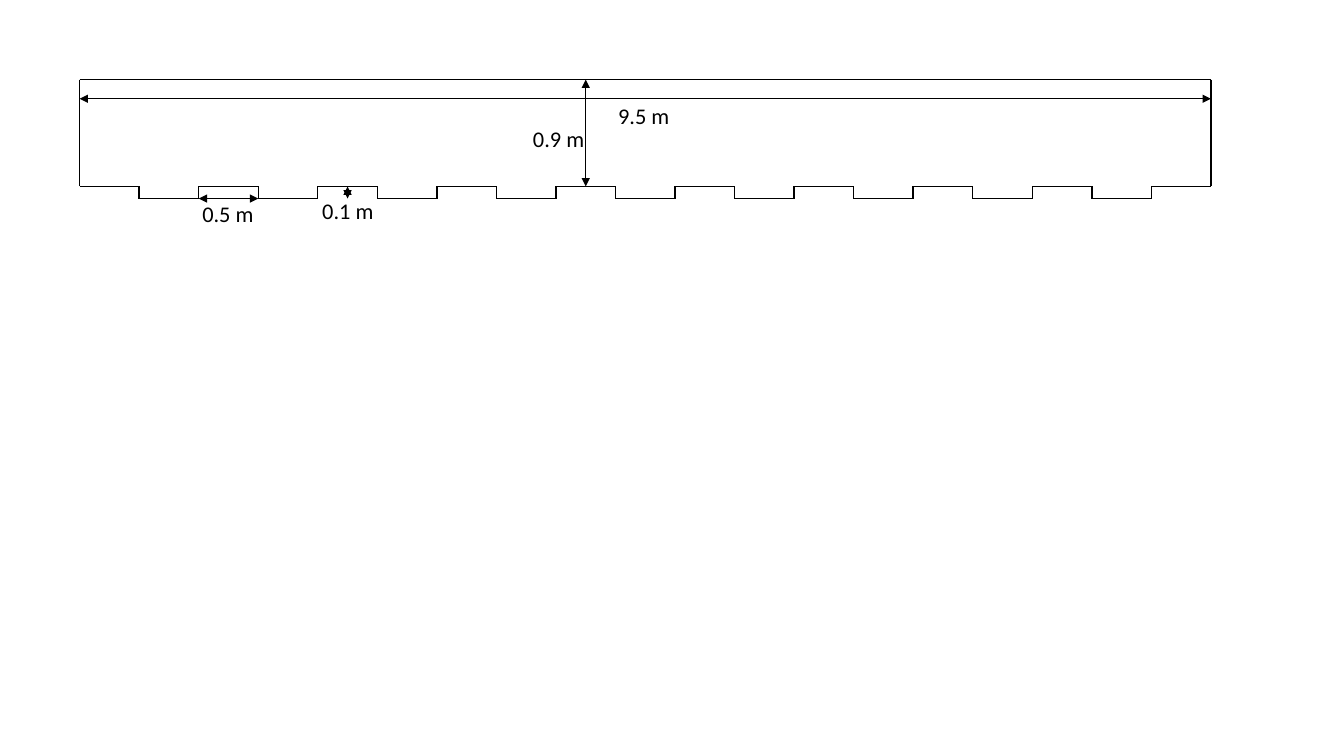
from lxml.etree import SubElement
from pptx import Presentation
from pptx.dml.color import RGBColor
from pptx.enum.shapes import MSO_CONNECTOR
from pptx.enum.text import MSO_AUTO_SIZE, PP_ALIGN
from pptx.oxml.ns import qn
from pptx.util import Inches, Pt

INK = "000000"
LEFT, RIGHT = 0.79, 12.01
TOP, BASE, FOOT = 0.79, 1.85, 1.97
COUNT = 19
STEP = (RIGHT - LEFT) / COUNT


def paint(color, value):
    color.rgb = RGBColor.from_string(value)


def add_line(slide, x1, y1, x2, y2, width=1):
    line = slide.shapes.add_connector(
        MSO_CONNECTOR.STRAIGHT, Inches(x1), Inches(y1), Inches(x2), Inches(y2))
    paint(line.line.color, INK)
    line.line.width = Pt(width)
    SubElement(line._element.spPr, qn("a:effectLst"))
    return line


def add_arrow(slide, x1, y1, x2, y2, width=1):
    stroke = add_line(slide, x1, y1, x2, y2, width).line._get_or_add_ln()
    for end in ("a:headEnd", "a:tailEnd"):
        SubElement(stroke, qn(end), type="triangle")


def add_label(slide, text, left, top, width):
    box = slide.shapes.add_textbox(
        Inches(left), Inches(top), Inches(width), Inches(0.37))
    frame = box.text_frame
    frame.word_wrap = True
    frame.auto_size = MSO_AUTO_SIZE.SHAPE_TO_FIT_TEXT
    para = frame.paragraphs[0]
    para.alignment = PP_ALIGN.CENTER
    run = para.add_run()
    run.text = text
    run.font.name = "Calibri"
    run.font.size = Pt(16)
    paint(run.font.color, INK)


def add_wall(slide):
    add_line(slide, LEFT, TOP, RIGHT, TOP)
    for x in (LEFT, RIGHT):
        add_line(slide, x, TOP, x, BASE)
    for i in range(COUNT):
        x = LEFT + i * STEP
        y = FOOT if i % 2 else BASE
        add_line(slide, x, y, x + STEP, y)
        if i:
            add_line(slide, x, BASE, x, FOOT)


def main():
    deck = Presentation()
    deck.slide_width = Inches(13.33)
    deck.slide_height = Inches(7.5)
    slide = deck.slides.add_slide(deck.slide_layouts[6])

    add_wall(slide)

    middle = LEFT + 8.5 * STEP
    notch = LEFT + 2 * STEP
    gap = LEFT + 4.5 * STEP
    add_arrow(slide, LEFT, 0.98, RIGHT, 0.98)
    add_arrow(slide, middle, TOP, middle, BASE)
    add_arrow(slide, notch, FOOT, notch + STEP, FOOT)
    add_arrow(slide, gap, BASE, gap, FOOT, 0.5)

    add_label(slide, "9.5 m", 5.92, 0.96, 0.93)
    add_label(slide, "0.9 m", 5.17, 1.19, 0.74)
    add_label(slide, "0.5 m", 1.87, 1.94, 0.78)
    add_label(slide, "0.1 m", 3.06, 1.91, 0.78)

    deck.save("out.pptx")


if __name__ == "__main__":
    main()
